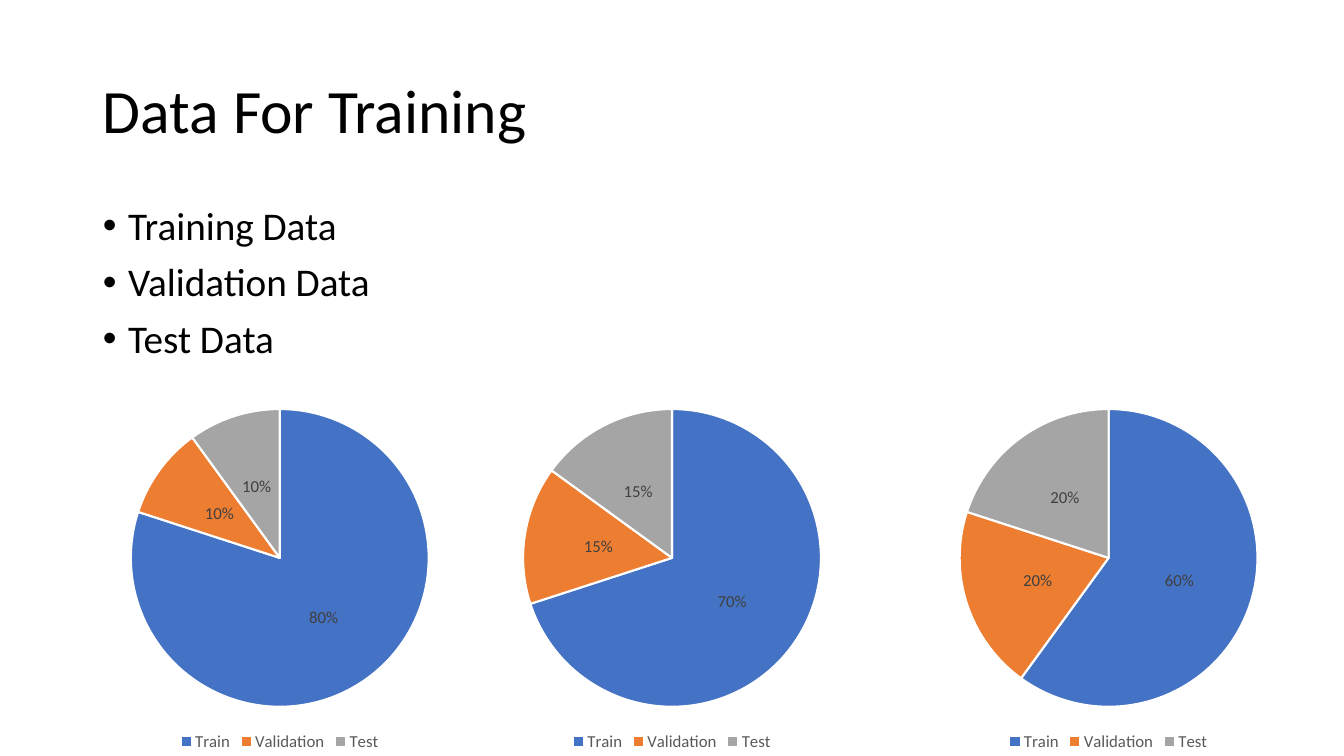
from dataclasses import dataclass

from lxml.etree import SubElement
from pptx import Presentation
from pptx.chart.data import CategoryChartData
from pptx.dml.color import RGBColor
from pptx.enum.chart import XL_CHART_TYPE, XL_LABEL_POSITION, XL_LEGEND_POSITION
from pptx.enum.text import MSO_ANCHOR, MSO_AUTO_SIZE, PP_ALIGN
from pptx.oxml.ns import qn
from pptx.util import Inches, Pt


@dataclass(frozen=True)
class Theme:
    font: str = "Calibri"
    text: str = "000000"
    label: str = "404040"
    legend: str = "595959"
    border: str = "FFFFFF"
    slices: tuple = ("4472C4", "ED7D31", "A5A5A5")
    title_size: int = 44
    body_size: int = 28
    chart_size: int = 12


THEME = Theme()


def set_font(font, size, color):
    font.name = THEME.font
    font.size = Pt(size)
    font.color.rgb = RGBColor.from_string(color)


def write(para, text, size, bullet=False, space_before=0):
    para.alignment = PP_ALIGN.LEFT
    para.line_spacing = 0.9
    para.space_before = Pt(space_before)
    if bullet:
        properties = para._p.get_or_add_pPr()
        properties.set("marL", str(Inches(0.25)))
        properties.set("indent", str(Inches(-0.25)))
        SubElement(properties, qn("a:buFont")).set("typeface", "Arial")
        SubElement(properties, qn("a:buChar")).set("char", "•")
    span = para.add_run()
    span.text = text
    set_font(span.font, size, THEME.text)


deck = Presentation()
deck.slide_width = Inches(13.33)
deck.slide_height = Inches(7.5)
page = deck.slides.add_slide(deck.slide_layouts[1])
title, body = page.shapes.title, page.placeholders[1]

for box, top, height, anchor in (
    (title, 0.4, 1.45, MSO_ANCHOR.MIDDLE),
    (body, 2, 4.76, MSO_ANCHOR.TOP),
):
    box.left, box.top = Inches(0.92), Inches(top)
    box.width, box.height = Inches(11.5), Inches(height)
    box.text_frame.word_wrap = True
    box.text_frame.auto_size = MSO_AUTO_SIZE.NONE
    box.text_frame.vertical_anchor = anchor

write(title.text_frame.paragraphs[0], "Data For Training", THEME.title_size)
for index, item in enumerate(("Training Data", "Validation Data", "Test Data")):
    frame = body.text_frame
    para = frame.add_paragraph() if index else frame.paragraphs[0]
    write(para, item, THEME.body_size, bullet=True, space_before=10 if index else 0)

for left, shares in ((3.37, (70, 15, 15)), (-0.52, (80, 10, 10)), (7.7, (60, 20, 20))):
    split = CategoryChartData()
    split.categories = ("Train", "Validation", "Test")
    split.add_series("Series 1", shares)
    chart = page.shapes.add_chart(
        XL_CHART_TYPE.PIE, Inches(left), Inches(3.92), Inches(6.59), Inches(3.58), split
    ).chart
    set_font(chart.font, 10, THEME.text)
    chart.has_title = False
    chart.has_legend = True
    chart.legend.position = XL_LEGEND_POSITION.BOTTOM
    chart.legend.include_in_layout = False
    set_font(chart.legend.font, THEME.chart_size, THEME.legend)

    pie = chart.plots[0]
    pie.vary_by_categories = True
    pie.has_data_labels = True
    labels = pie.data_labels
    labels.show_percentage = True
    labels.show_value = False
    labels.number_format = "0%"
    labels.number_format_is_linked = False
    labels.position = XL_LABEL_POSITION.CENTER
    set_font(labels.font, THEME.chart_size, THEME.label)
    for index, color in enumerate(THEME.slices):
        slice_format = pie.series[0].points[index].format
        slice_format.fill.solid()
        slice_format.fill.fore_color.rgb = RGBColor.from_string(color)
        slice_format.line.color.rgb = RGBColor.from_string(THEME.border)
        slice_format.line.width = Pt(1.5)

deck.save("out.pptx")
